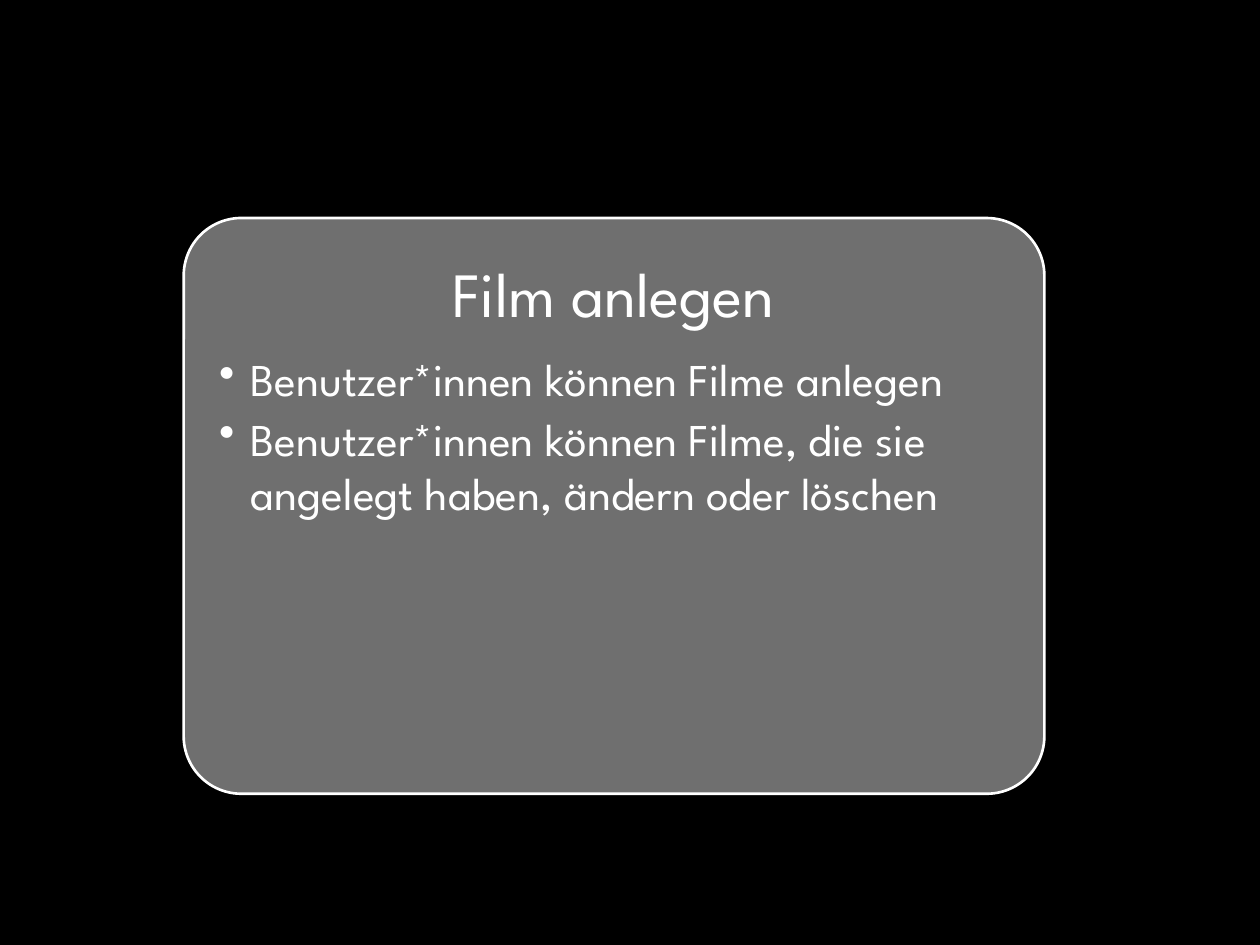
from lxml.etree import SubElement
from pptx import Presentation
from pptx.dml.color import RGBColor
from pptx.enum.shapes import MSO_SHAPE as Shape
from pptx.enum.text import MSO_ANCHOR as Anchor, PP_ALIGN as Align
from pptx.oxml.ns import qn
from pptx.util import Pt

COLORS = {"background": "000000", "card": "6F6F6F", "light": "FFFFFF"}
FONT = "League Spartan"
HEADING = "Film anlegen"
STORIES = [
    "Benutzer*innen können Filme anlegen",
    "Benutzer*innen können Filme, die sie angelegt haben, ändern oder löschen",
]


def color(name):
    return RGBColor.from_string(COLORS[name])


def add_card(page, left, top, width, height):
    card = page.shapes.add_shape(
        Shape.ROUNDED_RECTANGLE, Pt(left), Pt(top), Pt(width), Pt(height))
    card.adjustments[0] = 0.1
    card.shadow.inherit = False
    card.fill.solid()
    card.fill.fore_color.rgb = color("card")
    card.line.color.rgb = color("light")
    card.line.width = Pt(1.5)


def add_text_frame(page, left, top, width, height, inset):
    box = page.shapes.add_textbox(Pt(left), Pt(top), Pt(width), Pt(height))
    frame = box.text_frame
    frame.word_wrap = True
    frame.vertical_anchor = Anchor.TOP
    frame.margin_left = frame.margin_right = Pt(inset)
    frame.margin_top = frame.margin_bottom = Pt(inset)
    return frame


def format_para(para, size, space_after):
    para.space_after = Pt(space_after)
    for span in para.runs:
        span.font.name = FONT
        span.font.size = Pt(size)
        span.font.color.rgb = color("light")


def add_bullet(para, indent):
    properties = para._p.get_or_add_pPr()
    properties.set("marL", str(Pt(indent)))
    properties.set("indent", str(-Pt(indent)))
    SubElement(properties, qn("a:buChar"), char="•")


def main():
    deck = Presentation()
    deck.slide_width, deck.slide_height = Pt(720), Pt(540)
    page = deck.slides.add_slide(deck.slide_layouts[6])
    page.background.fill.solid()
    page.background.fill.fore_color.rgb = color("background")

    # Story card
    add_card(page, 105, 124.6, 491.8, 329)

    # Heading and bulleted stories
    frame = add_text_frame(page, 114.5, 134.6, 472.3, 310.3, inset=10.8)
    frame.text = HEADING
    heading = frame.paragraphs[0]
    heading.alignment = Align.CENTER
    format_para(heading, 36, 12)
    for story in STORIES:
        para = frame.add_paragraph()
        para.text = story
        para.level = 1
        add_bullet(para, 18)
        format_para(para, 26, 3)

    deck.save("out.pptx")


if __name__ == "__main__":
    main()
